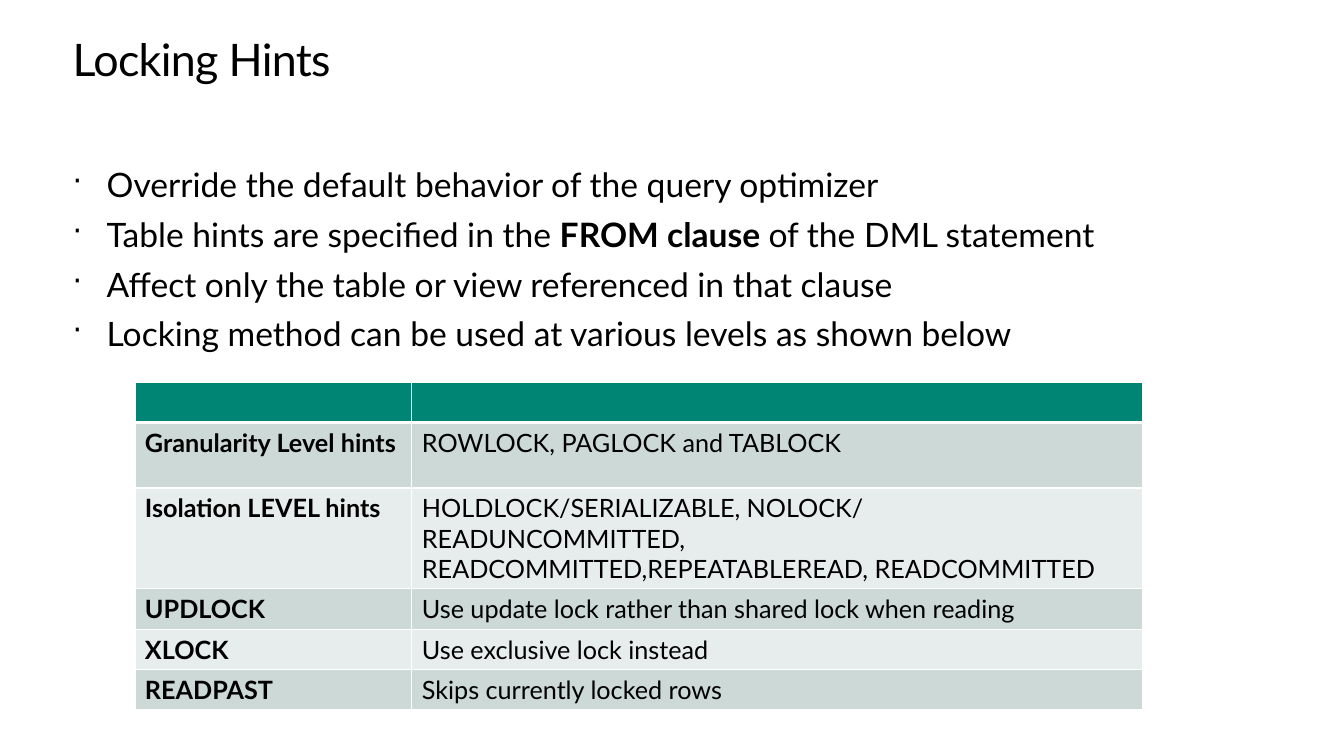
from lxml import etree
from pptx import Presentation
from pptx.dml.color import RGBColor
from pptx.enum.text import MSO_AUTO_SIZE
from pptx.oxml.ns import qn
from pptx.util import Cm, Pt

FIT_SHAPE = MSO_AUTO_SIZE.SHAPE_TO_FIT_TEXT
BLACK = RGBColor(0x00, 0x00, 0x00)
WHITE = RGBColor(0xFF, 0xFF, 0xFF)
TEAL = RGBColor(0x00, 0x85, 0x75)
DARK_BAND = RGBColor(0xCC, 0xD9, 0xD6)
LIGHT_BAND = RGBColor(0xE7, 0xED, 0xEC)

BULLETS = [
    [("Override the default behavior of the query optimizer", False)],
    [
        ("Table hints are specified in the ", False),
        ("FROM clause ", True),
        ("of the DML statement", False),
    ],
    [("Affect only the table or view referenced in that clause", False)],
    [("Locking method can be used at various levels as shown below", False)],
]
HINTS = [
    ("", ""),
    ("Granularity Level hints", "ROWLOCK, PAGLOCK and TABLOCK"),
    (
        "Isolation LEVEL hints",
        "HOLDLOCK/SERIALIZABLE, NOLOCK/ READUNCOMMITTED,\n"
        "READCOMMITTED,REPEATABLEREAD, READCOMMITTED",
    ),
    ("UPDLOCK", "Use update lock rather than shared lock when reading"),
    ("XLOCK", "Use exclusive lock instead"),
    ("READPAST", "Skips currently locked rows"),
]
COLUMN_WIDTHS = [6.98, 18.42]
ROW_HEIGHTS = [0.97, 1.65, 1.83, 0.97, 0.97, 0.97]


class SlideBuilder:
    font_name = "Lato"

    def __init__(self, slide):
        self.slide = slide

    def style_font(self, font, size, bold=False):
        font.name = self.font_name
        font.size = Pt(size)
        font.bold = bold
        font.color.rgb = BLACK

    def text_frame(self, left, top, width, height):
        box = self.slide.shapes.add_textbox(Cm(left), Cm(top), Cm(width), Cm(height))
        frame = box.text_frame
        frame.word_wrap = True
        frame.margin_left = frame.margin_right = 0
        frame.margin_top = frame.margin_bottom = 0
        return box, frame

    def title(self, text, left, top, width, height):
        box, frame = self.text_frame(left, top, width, height)
        box.fill.solid()
        box.fill.fore_color.rgb = WHITE
        frame.auto_size = FIT_SHAPE
        frame.text = text
        paragraph = frame.paragraphs[0]
        paragraph.line_spacing = Pt(36.2)
        font = paragraph.runs[0].font
        self.style_font(font, 32)
        paragraph.runs[0]._r.get_or_add_rPr().set("spc", "-50")

    def add_bullet(self, paragraph):
        properties = paragraph._p.get_or_add_pPr()
        properties.set("marL", str(Cm(0.86)))
        properties.set("indent", str(-Cm(0.86)))
        color = etree.SubElement(properties, qn("a:buClr"))
        etree.SubElement(color, qn("a:srgbClr"), val=str(BLACK))
        etree.SubElement(properties, qn("a:buSzPct"), val="90000")
        etree.SubElement(properties, qn("a:buChar"), char="·")

    def bullet_list(self, items, left, top, width, height):
        frame = self.text_frame(left, top, width, height)[1]
        for index, pieces in enumerate(items):
            paragraph = frame.add_paragraph() if index else frame.paragraphs[0]
            self.add_bullet(paragraph)
            if index:
                paragraph.space_before = Pt(6.7)
            for text, bold in pieces:
                run = paragraph.add_run()
                run.text = text
                self.style_font(run.font, 24, bold)

    def cell_borders(self, cell, bottom_width, top_width):
        properties = cell._tc.get_or_add_tcPr()
        widths = {"lnL": 1, "lnR": 1, "lnT": top_width, "lnB": bottom_width}
        for position, (side, width) in enumerate(widths.items()):
            line = etree.Element(qn(f"a:{side}"), w=str(Pt(width)))
            fill = etree.SubElement(line, qn("a:solidFill"))
            etree.SubElement(fill, qn("a:srgbClr"), val=str(WHITE))
            properties.insert(position, line)

    def table(self, rows, left, top, column_widths, row_heights):
        table = self.slide.shapes.add_table(
            len(rows), len(column_widths), Cm(left), Cm(top),
            Cm(sum(column_widths)), Cm(sum(row_heights)),
        ).table
        for column, width in zip(table.columns, column_widths):
            column.width = Cm(width)
        for row_index, texts in enumerate(rows):
            table.rows[row_index].height = Cm(row_heights[row_index])
            band = DARK_BAND if row_index % 2 else LIGHT_BAND
            for column_index, text in enumerate(texts):
                cell = table.cell(row_index, column_index)
                cell.fill.solid()
                cell.fill.fore_color.rgb = band if row_index else TEAL
                self.cell_borders(
                    cell, 1 if row_index else 3, 3 if row_index == 1 else 1
                )
                cell.text_frame.text = text
                for paragraph in cell.text_frame.paragraphs:
                    for run in paragraph.runs:
                        self.style_font(run.font, 18, column_index == 0)


def main():
    presentation = Presentation()
    presentation.slide_width = Cm(33.87)
    presentation.slide_height = Cm(19.05)
    slide = presentation.slides.add_slide(presentation.slide_layouts[6])
    builder = SlideBuilder(slide)
    builder.title("Locking Hints", 1.83, 0.89, 30.23, 1.27)
    builder.bullet_list(BULLETS, 1.83, 4.14, 30.23, 13.16)
    builder.table(HINTS, 3.4, 9.63, COLUMN_WIDTHS, ROW_HEIGHTS)
    presentation.save("out.pptx")


if __name__ == "__main__":
    main()
